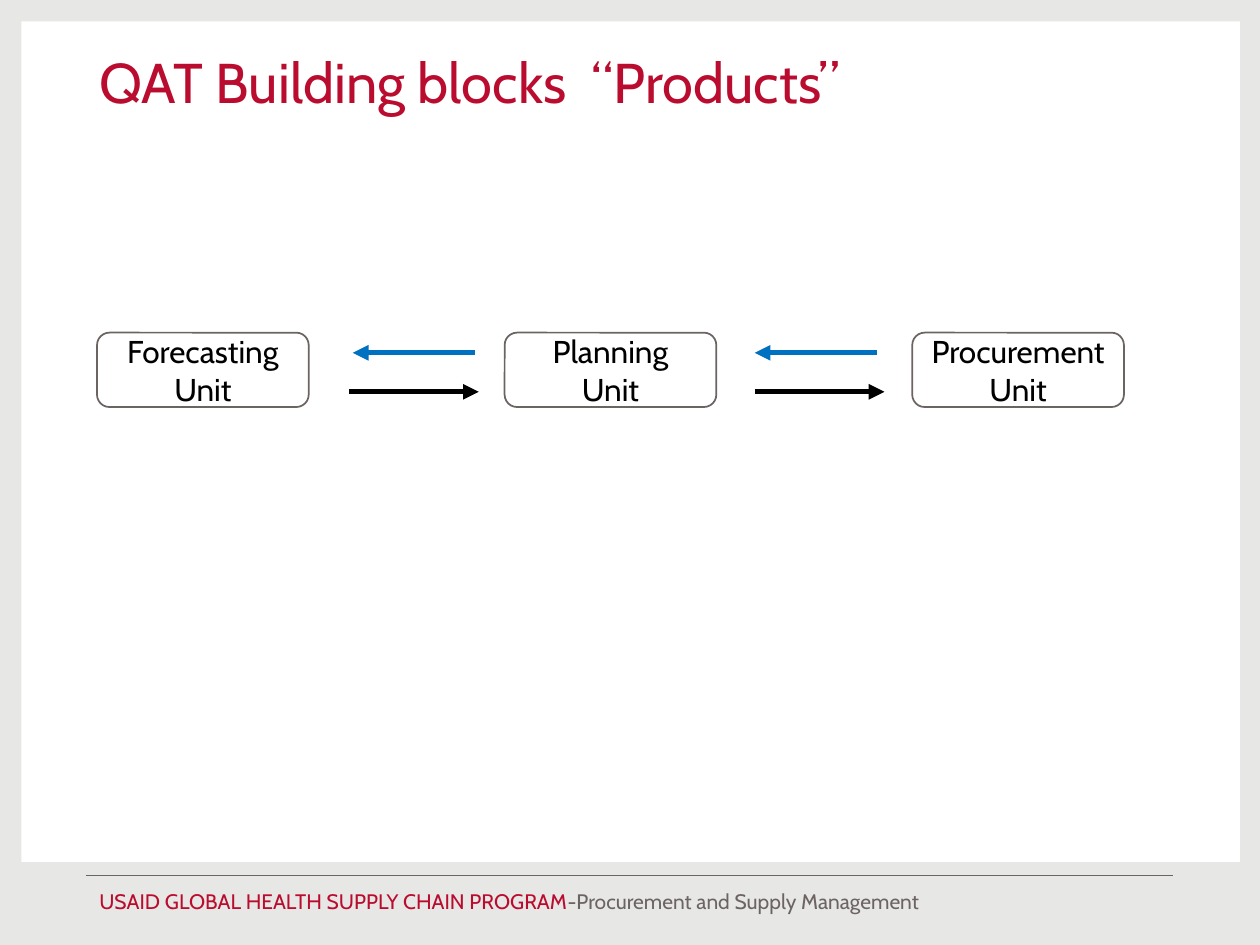
from lxml import etree
from pptx import Presentation, util as u
from pptx.dml.color import RGBColor
from pptx.enum import shapes, text
from pptx.oxml.ns import qn

RED = RGBColor(0xBA, 0x0C, 0x2F)
GRAY = RGBColor(0x6C, 0x64, 0x63)
PALE = RGBColor(0xE7, 0xE7, 0xE5)
BLUE = RGBColor(0x00, 0x70, 0xC0)
WHITE = RGBColor(0xFF, 0xFF, 0xFF)
BLACK = RGBColor(0x00, 0x00, 0x00)

COLUMNS, ROWS = 100, 75  # square grid cells over the whole slide


def write(frame, *runs, size=18, font="Cabin", align=text.PP_ALIGN.LEFT,
          anchor=text.MSO_ANCHOR.TOP, line_spacing=None):
    """Fill a text frame with one paragraph of (words, colour) runs."""
    frame.word_wrap = True
    frame.vertical_anchor = anchor
    paragraph = frame.paragraphs[0]
    paragraph.alignment = align
    paragraph.line_spacing = line_spacing
    for words, color in runs:
        run = paragraph.add_run()
        run.text = words
        run.font.name = font
        run.font.size = u.Pt(size)
        run.font.color.rgb = color


class Deck:
    """Holds the presentation, its grid and the current slide."""

    def __init__(self):
        self.presentation = Presentation()
        self.presentation.slide_width = u.Inches(10)
        self.presentation.slide_height = u.Inches(7.5)
        self.column = self.presentation.slide_width / COLUMNS
        self.row = self.presentation.slide_height / ROWS

    def add_slide(self, background):
        layout = self.presentation.slide_layouts[6]
        self.slide = self.presentation.slides.add_slide(layout)
        fill = self.slide.background.fill
        fill.solid()
        fill.fore_color.rgb = background

    def grid(self, *lengths):
        """Turn alternating columns and rows into slide lengths."""
        return [round(length * (self.row if index % 2 else self.column))
                for index, length in enumerate(lengths)]

    def text_box(self, place, *runs, **style):
        box = self.slide.shapes.add_textbox(*self.grid(*place))
        write(box.text_frame, *runs, **style)
        box.text_frame.auto_size = text.MSO_AUTO_SIZE.SHAPE_TO_FIT_TEXT

    def panel(self, kind, place, fill, line=None):
        shape = self.slide.shapes.add_shape(kind, *self.grid(*place))
        shape.shadow.inherit = False
        shape.fill.solid()
        shape.fill.fore_color.rgb = fill
        if line is None:
            shape.line.fill.background()
        else:
            shape.line.color.rgb = line
            shape.line.width = u.Pt(1)
        return shape

    def unit(self, place, label):
        shape = self.panel(shapes.MSO_SHAPE.ROUNDED_RECTANGLE, place, WHITE, GRAY)
        write(shape.text_frame, (label, BLACK), align=text.PP_ALIGN.CENTER,
              anchor=text.MSO_ANCHOR.MIDDLE)

    def line(self, start, end, row, color, width, arrow=False):
        connector = self.slide.shapes.add_connector(
            shapes.MSO_CONNECTOR.STRAIGHT, *self.grid(start, row, end, row))
        connector.line.color.rgb = color
        connector.line.width = u.Pt(width)
        if arrow:
            outline = connector.line._get_or_add_ln()
            etree.SubElement(outline, qn("a:tailEnd"), type="triangle")
        etree.SubElement(connector._element.spPr, qn("a:effectLst"))


def main():
    deck = Deck()
    deck.add_slide(PALE)

    # Footer and white page
    deck.line(6.8, 93.1, 69.5, GRAY, 0.5)
    deck.text_box((6.9, 70, 74.4, 3),
                  ("USAID GLOBAL HEALTH SUPPLY CHAIN PROGRAM", RED),
                  ("-Procurement and Supply Management", GRAY), size=12)
    deck.panel(shapes.MSO_SHAPE.RECTANGLE, (1.7, 1.7, 96.7, 66.7), WHITE)

    # Title
    deck.text_box((6.9, 3.8, 84.1, 5.9),
                  ("QAT Building blocks  “Products”", RED), size=32,
                  anchor=text.MSO_ANCHOR.BOTTOM, line_spacing=0.9)

    # Units, evenly spaced
    units = ("Forecasting Unit", "Planning Unit", "Procurement Unit")
    for index, label in enumerate(units):
        deck.unit((7.7 + 32.35 * index, 26.4, 16.8, 5.9), label)

    # Arrows forward and back in each gap
    for gap in range(len(units) - 1):
        forward, back = 27.7 + 32.2 * gap, 37.7 + 31.9 * gap
        deck.line(forward, forward + 10.3, 31.1, BLACK, 3, arrow=True)
        deck.line(back, back - 9.7, 28, BLUE, 3, arrow=True)

    deck.presentation.save("out.pptx")


if __name__ == "__main__":
    main()
